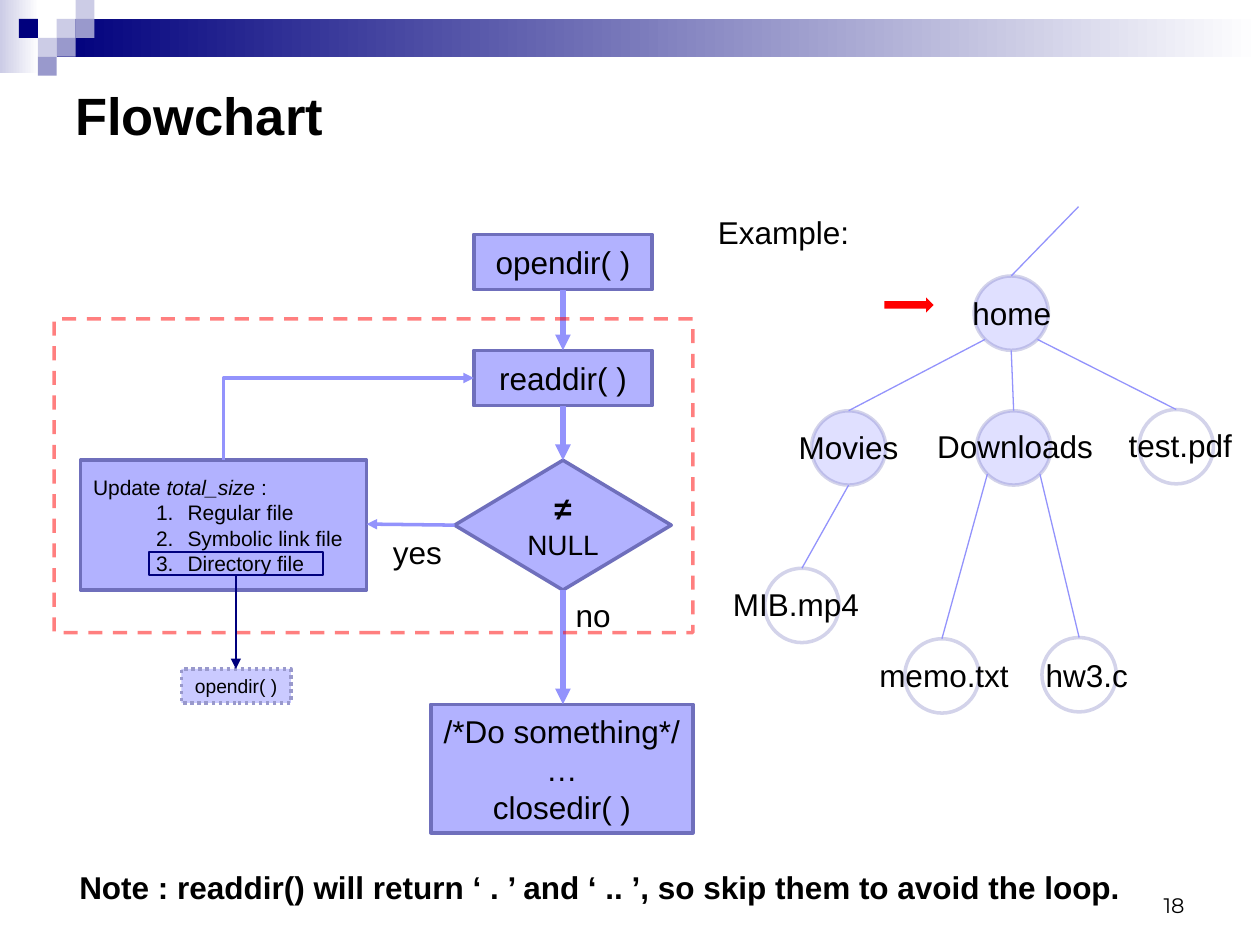
from math import sqrt

from lxml.etree import SubElement
from pptx import Presentation
from pptx.dml.color import RGBColor
from pptx.enum.dml import MSO_LINE
from pptx.enum.shapes import MSO_CONNECTOR, MSO_SHAPE
from pptx.enum.text import MSO_ANCHOR, PP_ALIGN
from pptx.oxml.ns import qn
from pptx.util import Pt

COLORS = {
    "navy": "00007D", "mist": "CCCCE6", "slate": "9999CC", "white": "FFFFFF",
    "black": "000000", "red": "FF0000", "box": "B2B2FF", "pale": "CACAFF",
    "edge": "6F6FBC", "flow": "9393FC", "folder": "9999FF",
}
FONT = {"name": "Arial", "size": Pt(18), "bold": False, "italic": False}
FRAME = {
    "word_wrap": True, "margin_left": Pt(7.2), "margin_right": Pt(7.2),
    "margin_top": Pt(3.6), "margin_bottom": Pt(3.6),
}

# Corner mosaic: column, row, colour
MOSAIC_STEP = 10.8
MOSAIC = [
    (3, 1, "mist"), (4, 0, "mist"), (4, 1, "slate"), (2, 2, "mist"),
    (1, 1, "navy"), (3, 2, "slate"), (2, 3, "slate"),
]
BANDS = [((0, 0, 22.3, 41.8), "mist"), ((32.4, 10.8, 687.6, 21.6), "navy")]

# Text, place, font changes, anchor, alignment
LABELS = [
    ("Flowchart", (36, 36, 648, 58.3), {"size": Pt(30), "bold": True}, "MIDDLE", "LEFT"),
    ("18", (516.2, 491.8, 167.8, 36), {"size": Pt(12), "name": "Montserrat"}, "BOTTOM", "RIGHT"),
    ("Example:", (403.2, 118.1, 100.8, 28.8), {}, "TOP", "LEFT"),
    ("Note : readdir() will return ‘ . ’ and ‘ .. ’, so skip them to avoid the loop.",
     (38.2, 492.5, 622, 28.8), {"bold": True}, "TOP", "LEFT"),
    ("yes", (217.4, 301, 51.1, 28.8), {}, "TOP", "LEFT"),
    ("no", (321.8, 337, 51.1, 28.8), {}, "TOP", "LEFT"),
]

# Directory tree: circle corner, fill, label place and width
NODE_SIZE = 42.5
NODES = {
    "home": ((556.6, 157.7), "folder", (548.6, 164.2, 110.9)),
    "Movies": ((463.7, 234.7), "folder", (449.3, 241.2, 72)),
    "Downloads": ((558, 234.7), "folder", (528.5, 240.5, 110.9)),
    "test.pdf": ((650.9, 234), "white", (637.9, 239.8, 82.8)),
    "MIB.mp4": ((437, 324.7), None, (411.8, 330.5, 100.8)),
    "memo.txt": ((517, 365), None, (495.4, 371.5, 90.7)),
    "hw3.c": ((595.4, 364.3), None, (590.4, 371.5, 72)),
}
# Parent, child, side of the parent the branch leaves from
BRANCHES = [
    ("home", "Movies", -1), ("home", "Downloads", 0), ("home", "test.pdf", 1),
    ("Movies", "MIB.mp4", 0), ("Downloads", "memo.txt", -1), ("Downloads", "hw3.c", 1),
]
ROOT_END = (616.3, 118.1)

# Flowchart steps: place, outline shape, paragraphs of (text, font changes) runs
AXIS = 321.7
SMALL = {"size": Pt(12)}
STEPS = {
    "open": ((270.8, 133.9, 101.8, 31.7), "RECTANGLE", [[("opendir( )", {})]]),
    "read": ((270.8, 200.2, 101.8, 31.7), "RECTANGLE", [[("readdir( )", {})]]),
    "check": ((259.8, 263, 123.8, 74.2), "FLOWCHART_DECISION",
              [[("≠ ", {"bold": True}), ("NULL", {"size": Pt(16)})]]),
    "close": ((246.2, 402.5, 149.8, 73.4), "RECTANGLE",
              [[("/*Do something*/", {})], [("…", {})], [("closedir( )", {})]]),
}
UPDATE_PLACE = (46.1, 263, 163.4, 74.2)
UPDATE_HEAD = [("Update ", SMALL), ("total_size ", {**SMALL, "italic": True}), (":", SMALL)]
UPDATE_ITEMS = ["Regular file", "Symbolic link file", "Directory file"]
LOOP_PLACE = (31, 182.2, 365, 179.3)
HIGHLIGHT_PLACE = (85, 315.4, 99.4, 13)
NESTED_PLACE = (103.7, 382.3, 62.6, 19.4)

presentation = Presentation()
presentation.slide_width, presentation.slide_height = Pt(720), Pt(540)
slide = presentation.slides.add_slide(presentation.slide_layouts[6])


def rgb(color):
    return RGBColor.from_string(COLORS[color])


def set_attributes(target, values):
    for name, value in values.items():
        setattr(target, name, value)


def set_opacity(part, percent):
    for color in part.iter(qn("a:srgbClr")):
        SubElement(color, qn("a:alpha")).set("val", str(percent * 1000))


def add_block(kind, place, fill=None, outline=None, width=2, dash=None):
    block = slide.shapes.add_shape(MSO_SHAPE[kind], *map(Pt, place))
    block.shadow.inherit = False
    if fill:
        block.fill.solid()
        block.fill.fore_color.rgb = rgb(fill)
    else:
        block.fill.background()
    if outline:
        block.line.color.rgb = rgb(outline)
        block.line.width = Pt(width)
        if dash:
            block.line.dash_style = dash
    else:
        block.line.fill.background()
    return block


def write(holder, paragraphs, anchor="MIDDLE", align="CENTER"):
    """Fill a holder with paragraphs, each a list of (text, font changes) runs."""
    frame = holder.text_frame
    set_attributes(frame, {**FRAME, "vertical_anchor": MSO_ANCHOR[anchor]})
    for index, runs in enumerate(paragraphs):
        paragraph = frame.add_paragraph() if index else frame.paragraphs[0]
        paragraph.alignment = PP_ALIGN[align]
        for text, changes in runs:
            run = paragraph.add_run()
            run.text = text
            set_attributes(run.font, {**FONT, **changes})
            run.font.color.rgb = rgb("black")
    return frame


def add_label(text, place, changes, anchor, align):
    write(slide.shapes.add_textbox(*map(Pt, place)), [[(text, changes)]], anchor, align)


def add_link(start, end, color="flow", width=0.75, arrow=None, kind=MSO_CONNECTOR.STRAIGHT):
    """Join two points; arrow is the end that carries a head, headEnd or tailEnd."""
    link = slide.shapes.add_connector(kind, *map(Pt, (*start, *end)))
    link.line.color.rgb = rgb(color)
    link.line.width = Pt(width)
    properties = link._element.spPr
    if arrow:
        SubElement(properties.find(qn("a:ln")), qn(f"a:{arrow}")).set("type", "triangle")
    SubElement(properties, qn("a:effectLst"))
    return link


for place, start_color in BANDS:
    band = add_block("RECTANGLE", place)
    band.fill.gradient()
    band.fill.gradient_angle = 0
    for stop, color in zip(band.fill.gradient_stops, (start_color, "white")):
        stop.color.rgb = rgb(color)
for column, row, color in MOSAIC:
    add_block("RECTANGLE", (column * MOSAIC_STEP, row * MOSAIC_STEP, MOSAIC_STEP, MOSAIC_STEP), color)

add_block("RIGHT_ARROW", (505.4, 170, 28.1, 8.6), "red")
for (left, top), fill, _ in NODES.values():
    circle = add_block("OVAL", (left, top, NODE_SIZE, NODE_SIZE), fill, "edge")
    properties = circle._element.spPr
    set_opacity(properties if fill == "folder" else properties.find(qn("a:ln")), 30)
for name, (_, _, (left, top, width)) in NODES.items():
    add_label(name, (left, top, width, 28.8), {}, "TOP", "LEFT")


def node_point(name, side, direction):
    """Point on a node's rim: side -1, 0 or 1; direction -1 is up, 1 is down."""
    radius = NODE_SIZE / 2
    left, top = NODES[name][0]
    reach = radius / sqrt(2) if side else radius
    return left + radius + side * reach, top + radius + direction * reach


for parent, child, side in BRANCHES:
    add_link(node_point(parent, side, 1), node_point(child, 0, -1))
add_link(node_point("home", 0, -1), ROOT_END)

for place, kind, paragraphs in STEPS.values():
    write(add_block(kind, place, "box", "edge"), paragraphs)
places = [place for place, _, _ in STEPS.values()]
for (_, top, _, height), (_, next_top, _, _) in zip(places, places[1:]):
    add_link((AXIS, top + height), (AXIS, next_top), width=3, arrow="tailEnd")

update = add_block("RECTANGLE", UPDATE_PLACE, "box", "edge")
frame = write(update, [UPDATE_HEAD] + [[(item, SMALL)] for item in UPDATE_ITEMS], align="LEFT")
for paragraph in frame.paragraphs[1:]:
    numbering = paragraph._p.get_or_add_pPr()
    numbering.set("marL", str(Pt(54)))
    numbering.set("indent", str(Pt(-18)))
    SubElement(numbering, qn("a:buAutoNum")).set("type", "arabicPeriod")

loop = add_block("RECTANGLE", LOOP_PLACE, None, "red", dash=MSO_LINE.DASH)
set_opacity(loop._element.spPr, 50)
back_link = add_link((270.8, 216), (127.8, 263), width=2, arrow="headEnd", kind=MSO_CONNECTOR.ELBOW)
back_link._element.spPr.find(qn("a:prstGeom")).set("prst", "bentConnector2")
add_link((259.8, 300.1), (209.5, 299.5), width=2, arrow="tailEnd")

add_block("RECTANGLE", HIGHLIGHT_PLACE, None, "navy", 1)
nested = add_block("RECTANGLE", NESTED_PLACE, "pale", "slate", dash=MSO_LINE.ROUND_DOT)
write(nested, [[("opendir( )", {"size": Pt(11)})]])
add_link((134.8, 328.4), (134.8, 382.3), "navy", arrow="tailEnd")

for label in LABELS:
    add_label(*label)

presentation.save("out.pptx")
